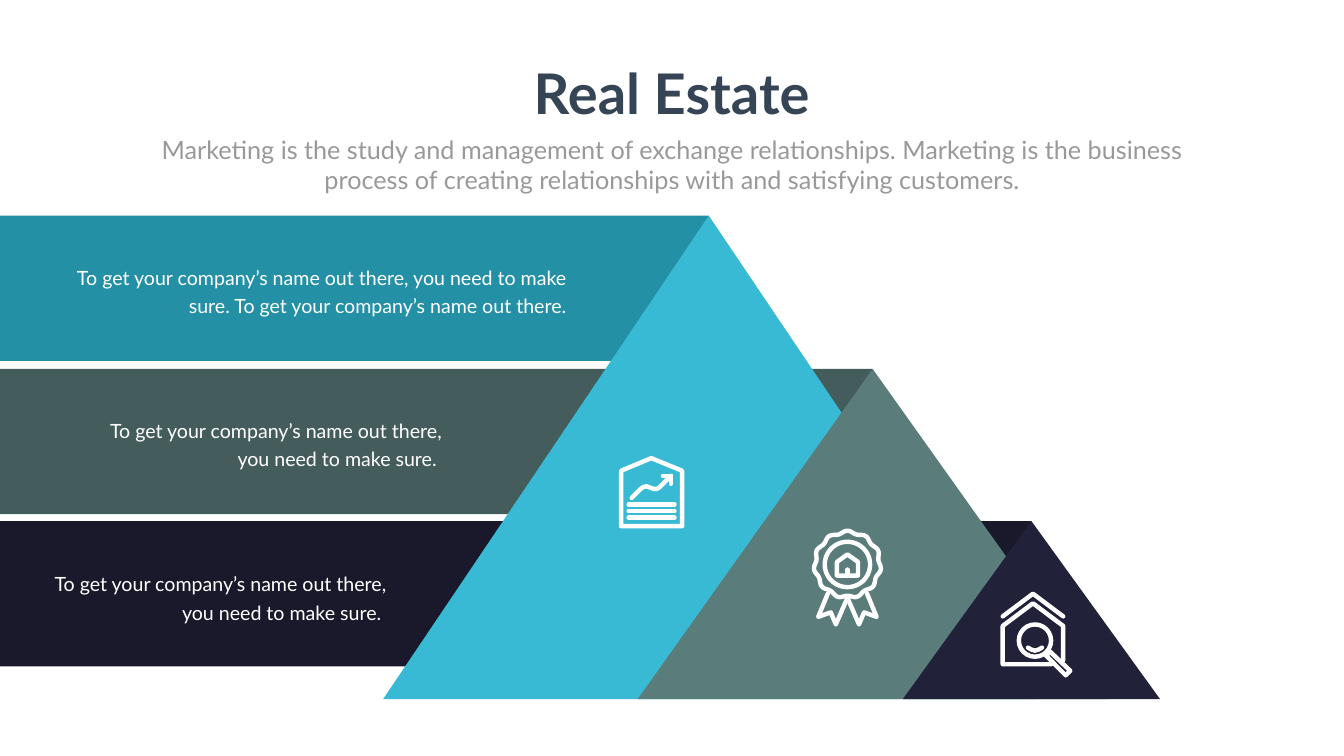
import dataclasses
import math

import pptx
import pptx.dml.color
import pptx.enum.shapes
import pptx.enum.text
import pptx.oxml
import pptx.oxml.ns
import pptx.util

Inches = pptx.util.Inches
Pt = pptx.util.Pt
Shape = pptx.enum.shapes.MSO_SHAPE
Align = pptx.enum.text.PP_ALIGN


@dataclasses.dataclass(frozen=True)
class Theme:
    font: str = "Lato"
    title_size: int = 80
    subtitle_size: int = 36
    body_size: int = 28
    body_leading: float = 40.8
    icon_stroke: float = 6.3
    title: str = "364556"
    subtitle: str = "999999"
    white: str = "FFFFFF"


@dataclasses.dataclass(frozen=True)
class Tier:
    """A band running from the left edge to the peak of its triangle."""
    top: float
    peak: float
    half_base: float
    band_color: str
    peak_color: str
    text_box: tuple
    text: str


BASELINE = 13.87
BAND_HEIGHT = 2.88
SHORT_TEXT = "To get your company’s name out there, you need to make sure. "
TIERS = [
    Tier(4.28, 14.06, 6.46, "2490A6", "39BAD4", (0.95, 5.12, 10.38, 1.19),
         SHORT_TEXT + "To get your company’s name out there."),
    Tier(7.32, 17.31, 4.66, "445D5C", "5A7C7B", (1.73, 8.16, 7.13, 1.19), SHORT_TEXT),
    Tier(10.34, 20.46, 2.55, "19192B", "22213A", (0.63, 11.2, 7.13, 1.19), SHORT_TEXT),
]


def rgb(color):
    return pptx.dml.color.RGBColor.from_string(color)


class SlideBuilder:
    def __init__(self, slide, theme):
        self.slide = slide
        self.shapes = slide.shapes
        self.theme = theme

    def block(self, preset, box, color):
        shape = self.shapes.add_shape(preset, *map(Inches, box))
        shape.shadow.inherit = False
        shape.fill.solid()
        shape.fill.fore_color.rgb = rgb(color)
        shape.line.fill.background()

    def set_text(self, box, text, size, color, align, bold=False, leading=None, wrap=True):
        frame = box.text_frame
        frame.text = text
        frame.word_wrap = wrap
        frame.auto_size = pptx.enum.text.MSO_AUTO_SIZE.SHAPE_TO_FIT_TEXT
        frame.vertical_anchor = pptx.enum.text.MSO_ANCHOR.TOP
        para = frame.paragraphs[0]
        para.alignment = align
        para.line_spacing = Pt(leading) if leading else 1.0
        font = para.runs[0].font
        font.name = self.theme.font
        font.size = Pt(size)
        font.bold = bold
        font.color.rgb = rgb(color)

    def title(self, box, text):
        holder = self.shapes.title
        holder.left, holder.top, holder.width, holder.height = map(Inches, box)
        self.set_text(holder, text, self.theme.title_size, self.theme.title,
                      Align.CENTER, bold=True, wrap=False)

    def text(self, box, text, size, color, align, leading=None):
        self.set_text(self.shapes.add_textbox(*map(Inches, box)), text, size, color,
                      align, leading=leading)

    def round_stroke(self, shape):
        """Give a shape or connector the white, round-ended icon line."""
        shape.line.width = Pt(self.theme.icon_stroke)
        shape.line.fill.solid()
        shape.line.fill.fore_color.rgb = rgb(self.theme.white)
        line = shape._element.spPr.find(pptx.oxml.ns.qn("a:ln"))
        line.set("cap", "rnd")
        line.append(pptx.oxml.parse_xml(f"<a:round {pptx.oxml.ns.nsdecls('a')}/>"))

    def outline(self, points, closed=False):
        start, *rest = [(Inches(x), Inches(y)) for x, y in points]
        builder = self.shapes.build_freeform(*start)
        builder.add_line_segments(rest, close=closed)
        shape = builder.convert_to_shape()
        shape.shadow.inherit = False
        shape.fill.background()
        self.round_stroke(shape)

    def ring(self, x, y, radius):
        shape = self.shapes.add_shape(
            Shape.OVAL, Inches(x - radius), Inches(y - radius),
            Inches(2 * radius), Inches(2 * radius))
        shape.shadow.inherit = False
        shape.fill.background()
        self.round_stroke(shape)

    def straight(self, start, end):
        connector = self.shapes.add_connector(
            pptx.enum.shapes.MSO_CONNECTOR.STRAIGHT, *map(Inches, (*start, *end)))
        self.round_stroke(connector)
        connector._element.spPr.append(
            pptx.oxml.parse_xml(f"<a:effectLst {pptx.oxml.ns.nsdecls('a')}/>"))


def draw_report_icon(page):
    page.outline([(12.32, 10.44), (12.32, 9.34), (12.92, 9.09), (13.53, 9.34),
                  (13.53, 10.44)], closed=True)
    page.outline([(12.53, 9.88), (12.72, 9.69), (12.77, 9.66), (12.83, 9.65),
                  (12.91, 9.68), (12.96, 9.7), (13.03, 9.7), (13.08, 9.67), (13.31, 9.44)])
    page.outline([(13.15, 9.44), (13.31, 9.44), (13.31, 9.6)])
    for row in range(3):
        y = 10.01 + 0.13 * row
        page.straight((12.47, y), (13.38, y))


def draw_award_icon(page):
    x, y = 16.81, 11.2
    scallops, steps = 11, 132
    rosette = []
    for step in range(steps):
        angle = 2 * math.pi * step / steps
        radius = 0.645 + 0.025 * math.cos(scallops * angle)
        rosette.append((x + radius * math.sin(angle), y - radius * math.cos(angle)))
    page.outline(rosette, closed=True)
    page.ring(x, y, 0.45)
    page.outline([(x - 0.21, 11.42), (x - 0.21, 11.15), (x, 11), (x + 0.21, 11.15),
                  (x + 0.21, 11.42)], closed=True)
    page.straight((x, 11.3), (x, 11.42))
    tail = [(0.39, 11.78), (0.58, 12.24), (0.33, 12.15), (0.23, 12.39), (0, 11.86)]
    for side in (-1, 1):
        page.outline([(x + side * offset, tail_y) for offset, tail_y in tail])


def draw_search_icon(page):
    page.outline([(19.89, 12.23), (20.49, 11.78), (21.09, 12.23)])
    page.outline([(20.85, 13.18), (19.89, 13.18), (19.89, 12.42), (20.49, 11.97),
                  (21.09, 12.42), (21.09, 13.1)])
    page.ring(20.53, 12.71, 0.32)
    page.outline([(20.75, 13.01), (20.83, 12.93), (21.23, 13.31), (21.14, 13.4)],
                 closed=True)
    page.outline([(20.39, 12.85), (20.46, 12.89), (20.53, 12.91), (20.6, 12.89),
                  (20.67, 12.85)])


def main():
    deck = pptx.Presentation()
    deck.slide_width, deck.slide_height = Inches(26.66), Inches(15)
    theme = Theme()
    page = SlideBuilder(deck.slides.add_slide(deck.slide_layouts[5]), theme)

    page.title((10.41, 1.12, 5.83, 1.45), "Real Estate")
    page.text((2.92, 2.61, 20.82, 1.31),
              "Marketing is the study and management of exchange relationships. "
              "Marketing is the business process of creating relationships with "
              "and satisfying customers.",
              theme.subtitle_size, theme.subtitle, Align.CENTER)

    for tier in TIERS:
        page.block(Shape.RECTANGLE, (0, tier.top, tier.peak, BAND_HEIGHT), tier.band_color)
    for tier in TIERS:
        page.block(Shape.ISOSCELES_TRIANGLE,
                   (tier.peak - tier.half_base, tier.top, 2 * tier.half_base,
                    BASELINE - tier.top), tier.peak_color)
        page.text(tier.text_box, tier.text, theme.body_size, theme.white,
                  Align.RIGHT, theme.body_leading)

    draw_report_icon(page)
    draw_award_icon(page)
    draw_search_icon(page)
    deck.save("out.pptx")


if __name__ == "__main__":
    main()
